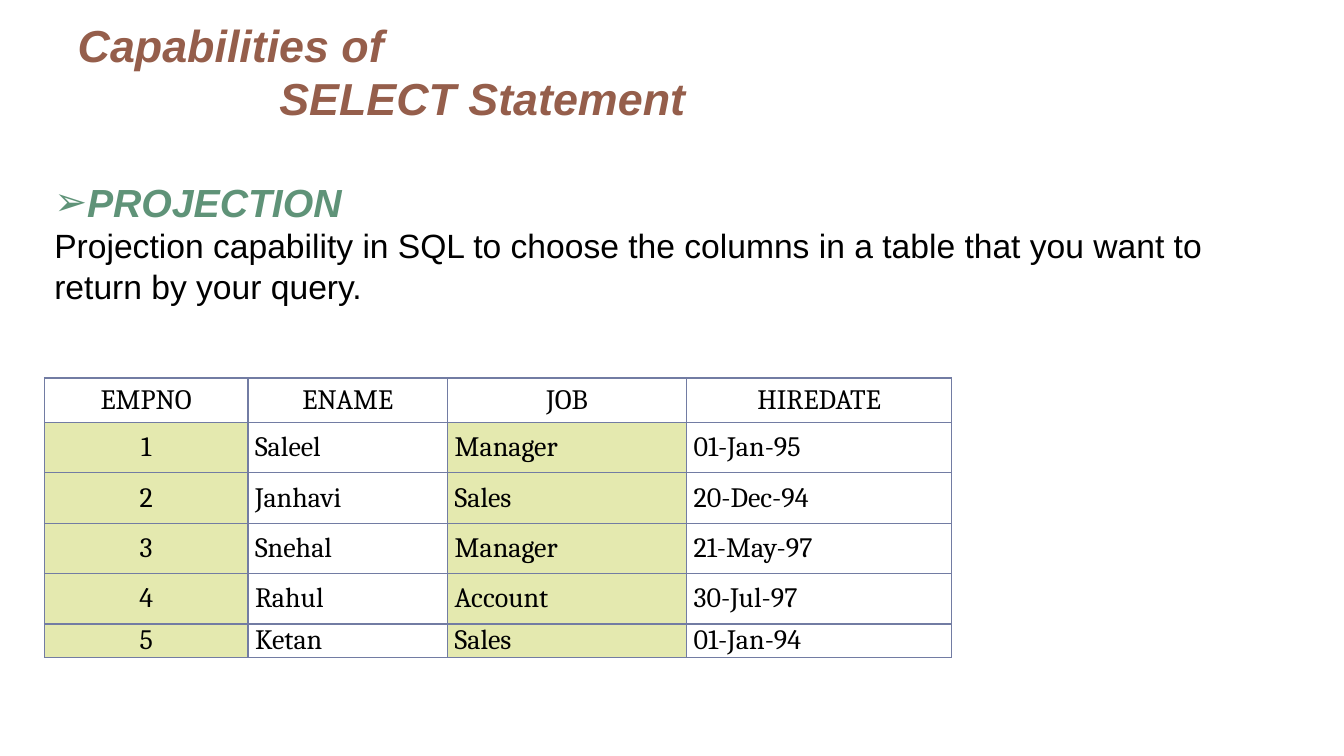
from lxml import etree
from pptx import Presentation
from pptx.dml.color import RGBColor
from pptx.enum.text import MSO_ANCHOR, MSO_AUTO_SIZE, PP_ALIGN
from pptx.oxml.ns import qn
from pptx.util import Inches, Pt

LEFT, CENTER = PP_ALIGN.LEFT, PP_ALIGN.CENTER
MIDDLE, BOTTOM = MSO_ANCHOR.MIDDLE, MSO_ANCHOR.BOTTOM
NO_FIT, GROW = MSO_AUTO_SIZE.NONE, MSO_AUTO_SIZE.SHAPE_TO_FIT_TEXT
TITLE_ONLY = 5
COLORS = {"title": "955E4B", "heading": "5F9378", "text": "000000",
          "border": "727CA3", "projected": "E4E9AF"}
PROJECTED = ("EMPNO", "JOB")
COLUMN_WIDTHS = (2.02, 1.98, 2.37, 2.63)
ROW_HEIGHTS = (0.44, 0.5, 0.5, 0.5, 0.5, 0.33)
EMPLOYEES = (
    ("EMPNO", "ENAME", "JOB", "HIREDATE"),
    ("1", "Saleel", "Manager", "01-Jan-95"),
    ("2", "Janhavi", "Sales", "20-Dec-94"),
    ("3", "Snehal", "Manager", "21-May-97"),
    ("4", "Rahul", "Account", "30-Jul-97"),
    ("5", "Ketan", "Sales", "01-Jan-94"),
)


def write(para, text, size, color="text", font="Arial", strong=False,
          align=LEFT, spacing=None, bullet=None, tabs=()):
    properties = para._p.get_or_add_pPr()
    if bullet:
        properties.set("marL", "0")
        properties.set("indent", "0")
        etree.SubElement(properties, qn("a:buFont"), typeface=font)
        etree.SubElement(properties, qn("a:buChar"), char=bullet)
    if tabs:
        stops = etree.SubElement(properties, qn("a:tabLst"))
        for position in tabs:
            etree.SubElement(stops, qn("a:tab"), pos=str(Inches(position)), algn="l")
    para.alignment = align
    para.line_spacing = spacing
    for index, line in enumerate(text.split("\n")):
        if index:
            para.add_line_break()
        span = para.add_run()
        span.text = line
        span.font.name = font
        span.font.size = Pt(size)
        span.font.bold = span.font.italic = strong
        span.font.color.rgb = RGBColor.from_string(COLORS[color])


class SlideBuilder:
    """Adds styled elements to one slide."""

    def __init__(self, deck):
        self.slide = deck.slides.add_slide(deck.slide_layouts[TITLE_ONLY])

    def title(self, text, left, top, width, height):
        box = self.slide.shapes.title
        box.left, box.top = Inches(left), Inches(top)
        box.width, box.height = Inches(width), Inches(height)
        frame = box.text_frame
        frame.auto_size = NO_FIT
        frame.vertical_anchor = BOTTOM
        write(frame.paragraphs[0], text, 32, "title", strong=True, tabs=(1, 2))

    def topic(self, heading, body, left, top, width, height):
        box = self.slide.shapes.add_textbox(
            Inches(left), Inches(top), Inches(width), Inches(height))
        frame = box.text_frame
        frame.word_wrap = True
        frame.auto_size = GROW
        write(frame.paragraphs[0], heading, 28, "heading", strong=True,
              spacing=2.0, bullet="➢")
        write(frame.add_paragraph(), body, 24)

    def table(self, records, left, top):
        table = self.slide.shapes.add_table(
            len(records), len(records[0]), Inches(left), Inches(top),
            Inches(sum(COLUMN_WIDTHS)), Inches(sum(ROW_HEIGHTS))).table
        table.first_row = table.horz_banding = False
        for column, width in zip(table.columns, COLUMN_WIDTHS):
            column.width = Inches(width)
        for row, height in zip(table.rows, ROW_HEIGHTS):
            row.height = Inches(height)
        for row_index, record in enumerate(records):
            for column_index, text in enumerate(record):
                is_header = row_index == 0
                projected = not is_header and records[0][column_index] in PROJECTED
                centered = is_header or column_index == 0
                self.cell(table.cell(row_index, column_index), text, centered, projected)

    def cell(self, cell, text, centered, projected):
        cell.margin_left = cell.margin_right = Inches(0.07)
        cell.margin_top = cell.margin_bottom = 0
        cell.vertical_anchor = MIDDLE
        properties = cell._tc.get_or_add_tcPr()
        for side in ("lnL", "lnR", "lnT", "lnB"):
            line = etree.SubElement(properties, qn(f"a:{side}"), w=str(Pt(1)))
            fill = etree.SubElement(line, qn("a:solidFill"))
            etree.SubElement(fill, qn("a:srgbClr"), val=COLORS["border"])
        if projected:
            cell.fill.solid()
            cell.fill.fore_color.rgb = RGBColor.from_string(COLORS["projected"])
        else:
            cell.fill.background()
        write(cell.text_frame.paragraphs[0], text, 20, font="Cambria",
              align=CENTER if centered else LEFT)


def main():
    deck = Presentation()
    deck.slide_width, deck.slide_height = Inches(13.33), Inches(7.5)
    page = SlideBuilder(deck)
    page.topic("PROJECTION",
               "Projection capability in SQL to choose the columns in a table "
               "that you want to return by your query.", 0.44, 1.25, 12.52, 1.85)
    page.table(EMPLOYEES, 0.44, 3.75)
    page.title("Capabilities of \n\t\tSELECT Statement", 0.67, 0.29, 12, 1)
    deck.save("out.pptx")


if __name__ == "__main__":
    main()
